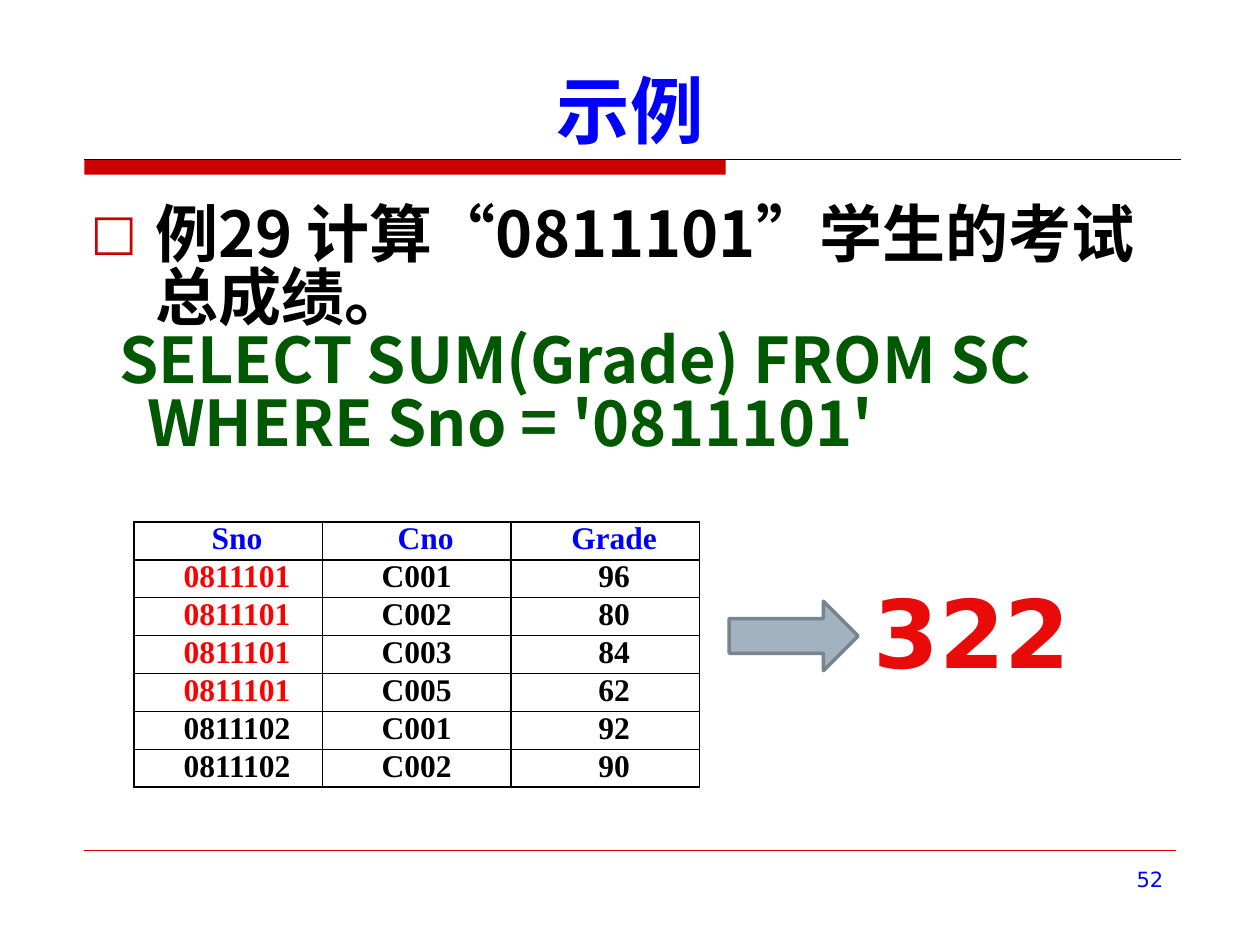
"""Build the slide that sums a student's grades with SQL."""
from dataclasses import dataclass, field

from lxml import etree
from pptx import Presentation
from pptx.dml.color import RGBColor
from pptx.enum.shapes import MSO_CONNECTOR, MSO_SHAPE
from pptx.enum.text import MSO_ANCHOR, PP_ALIGN
from pptx.oxml.ns import qn
from pptx.util import Cm, Pt

LEFT, MID, RIGHT = PP_ALIGN.LEFT, PP_ALIGN.CENTER, PP_ALIGN.RIGHT
TOP, LOW = MSO_ANCHOR.TOP, MSO_ANCHOR.BOTTOM
RECT, ARROW = MSO_SHAPE.RECTANGLE, MSO_SHAPE.RIGHT_ARROW
STRAIGHT = MSO_CONNECTOR.STRAIGHT

BLACK = RGBColor(0x00, 0x00, 0x00)
BLUE = RGBColor(0x00, 0x00, 0xFF)
RED = RGBColor(0xFF, 0x00, 0x00)
BRICK = RGBColor(0xCC, 0x00, 0x00)
CRIMSON = RGBColor(0xE9, 0x0A, 0x0A)
GREEN = RGBColor(0x00, 0x58, 0x00)
STEEL = RGBColor(0xA3, 0xB2, 0xC1)
SLATE = RGBColor(0x79, 0x84, 0x8F)

HAN, SANS, SERIF = "Noto Sans CJK SC", "DejaVu Sans", "Times New Roman"
HEAD = ("Sno", "Cno", "Grade")
MATCH = "0811101"
ROWS = (
    (MATCH, "C001", "96"),
    (MATCH, "C002", "80"),
    (MATCH, "C003", "84"),
    (MATCH, "C005", "62"),
    ("0811102", "C001", "92"),
    ("0811102", "C002", "90"),
)


@dataclass
class Line:
    """One paragraph with its look."""
    text: str
    size: float
    font: str
    color: RGBColor
    bold: bool = True
    align: int = LEFT
    left: float = 0
    first: float = 0
    space: float = 1.0
    bullet: str = ""


@dataclass
class Box:
    """A text box in centimetres."""
    x: float
    y: float
    w: float
    h: float
    lines: list[Line] = field(default_factory=list)
    anchor: int = TOP


@dataclass
class Rule:
    """A level line in centimetres."""
    x: float
    y: float
    end: float
    color: RGBColor
    width: float


def apply(item, values: dict) -> None:
    """Set each named attribute on the item."""
    for name, value in values.items():
        setattr(item, name, value)


def add_node(parent, tag: str, **attrs: str):
    """Append a drawing element."""
    return etree.SubElement(parent, qn(tag), attrs)


def write(para, line: Line) -> None:
    """Fill a paragraph from its line."""
    apply(para, {"alignment": line.align, "line_spacing": line.space})
    props = para._p.get_or_add_pPr()
    props.set("marL", str(Cm(line.left)))
    props.set("indent", str(Cm(line.first)))
    if line.bullet:
        tint = add_node(props, "a:buClr")
        add_node(tint, "a:srgbClr", val=str(BRICK))
        add_node(props, "a:buSzPct", val="78000")
        add_node(props, "a:buFont", typeface=SANS)
        add_node(props, "a:buChar", char=line.bullet)
    run = para.add_run()
    run.text = line.text
    apply(run.font, {"size": Pt(line.size), "name": line.font, "bold": line.bold})
    run.font.color.rgb = line.color
    mark = run._r.get_or_add_rPr()
    mark.set("lang", "zh-CN")
    add_node(mark, "a:ea", typeface=line.font)


def add_box(slide, box: Box) -> None:
    """Draw a text box."""
    shape = slide.shapes.add_textbox(Cm(box.x), Cm(box.y), Cm(box.w), Cm(box.h))
    frame = shape.text_frame
    apply(frame, {"word_wrap": True, "vertical_anchor": box.anchor})
    for i, line in enumerate(box.lines):
        write(frame.add_paragraph() if i else frame.paragraphs[0], line)


def add_rule(slide, rule: Rule) -> None:
    """Draw a level line without shadow."""
    y = Cm(rule.y)
    link = slide.shapes.add_connector(STRAIGHT, Cm(rule.x), y, Cm(rule.end), y)
    link.line.color.rgb = rule.color
    link.line.width = Pt(rule.width)
    add_node(link._element.spPr, "a:effectLst")


def add_form(slide, kind: int, box: Box, fill: RGBColor, edge: RGBColor | None) -> None:
    """Draw a filled shape with an optional outline."""
    shape = slide.shapes.add_shape(kind, Cm(box.x), Cm(box.y), Cm(box.w), Cm(box.h))
    shape.shadow.inherit = False
    shape.fill.solid()
    shape.fill.fore_color.rgb = fill
    if edge is None:
        shape.line.fill.background()
    else:
        shape.line.color.rgb = edge
        shape.line.width = Pt(2)


def frame_cell(cell) -> None:
    """Give a cell thin black edges, small margins and no fill."""
    apply(cell, {"margin_left": Cm(0.18), "margin_right": Cm(0.18),
                 "margin_top": 0, "margin_bottom": 0})
    props = cell._tc.get_or_add_tcPr()
    for side in ("a:lnL", "a:lnR", "a:lnT", "a:lnB"):
        edge = add_node(props, side, w=str(Pt(1)))
        add_node(add_node(edge, "a:solidFill"), "a:srgbClr", val=str(BLACK))
    cell.fill.background()


def add_grades(slide, box: Box) -> None:
    """Draw the grade table."""
    data = (HEAD, *ROWS)
    holder = slide.shapes.add_table(len(data), len(HEAD), Cm(box.x), Cm(box.y),
                                    Cm(box.w), Cm(box.h))
    table = holder.table
    apply(table, {"first_row": False, "horz_banding": False})
    for r, row in enumerate(data):
        for c, text in enumerate(row):
            color = BLUE if r == 0 else RED if text == MATCH else BLACK
            first = 0 if r and c == 1 else 0.36
            cell = table.cell(r, c)
            frame_cell(cell)
            write(cell.text_frame.paragraphs[0],
                  Line(text, 18, SERIF, color, align=MID, first=first))


def main() -> None:
    """Build and save the slide."""
    deck = Presentation()
    apply(deck, {"slide_width": Cm(25.4), "slide_height": Cm(19.05)})
    slide = deck.slides.add_slide(deck.slide_layouts[6])
    add_form(slide, RECT, Box(1.7, 3.22, 12.93, 0.3), BRICK, None)
    for rule in (Rule(1.7, 3.22, 23.8, BLACK, 0.75), Rule(1.7, 17.15, 23.7, BRICK, 0.25)):
        add_rule(slide, rule)
    body = {"size": 36, "font": HAN, "space": 0.83, "left": 1.3}
    boxes = (
        Box(1.6, 0.94, 22.22, 2.28, [Line("示例", 42, HAN, BLUE, align=MID)], LOW),
        Box(1.58, 4.06, 22.27, 12.8, [
            Line("例29 计算“0811101”学生的考试总成绩。", color=BLACK, first=-1.3,
                 bullet="□", **body),
            Line("SELECT SUM(Grade) FROM SC", color=GREEN, first=-0.72, **body),
            Line("WHERE Sno = '0811101'", color=GREEN, first=-0.16, **body),
        ]),
        Box(18.2, 17.35, 5.5, 1.32, [Line("52", 12, SANS, BLUE, False, RIGHT)]),
        Box(17.1, 11.45, 5, 2.57, [Line("322", 54, SANS, CRIMSON, align=MID)]),
    )
    for box in boxes:
        add_box(slide, box)
    add_form(slide, ARROW, Box(14.7, 12.12, 2.6, 1.4), STEEL, SLATE)
    add_grades(slide, Box(2.7, 10.52, 11.4, 5.35))
    deck.save("out.pptx")


if __name__ == "__main__":
    main()
